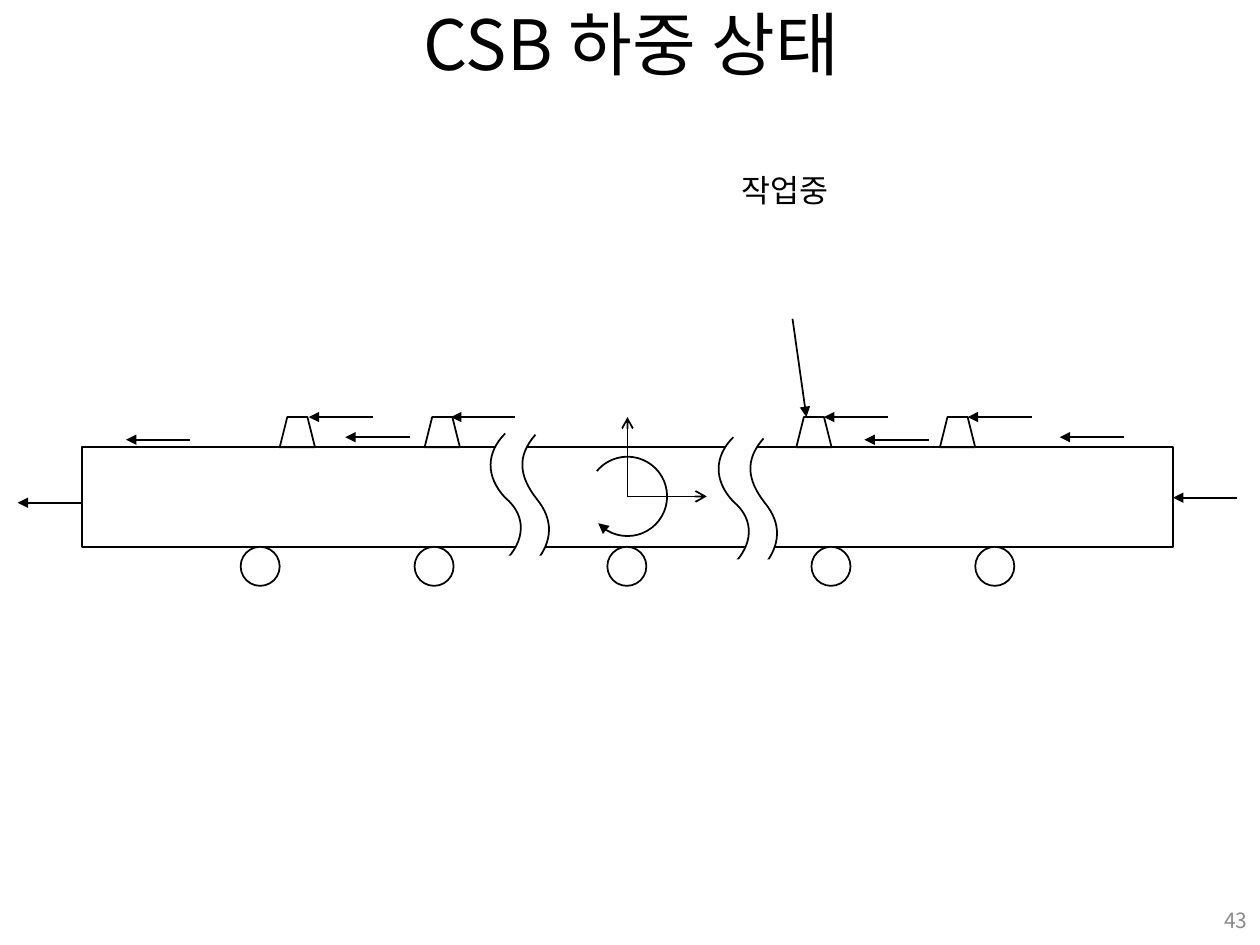
from typing import NamedTuple

from lxml import etree
from pptx import Presentation
from pptx.dml.color import RGBColor
from pptx.enum.shapes import MSO_CONNECTOR, MSO_SHAPE
from pptx.enum.text import MSO_ANCHOR, PP_ALIGN
from pptx.oxml.ns import qn
from pptx.util import Inches, Pt

STRAIGHT = MSO_CONNECTOR.STRAIGHT
RECTANGLE, TRAPEZOID = MSO_SHAPE.RECTANGLE, MSO_SHAPE.TRAPEZOID
OVAL, ARC = MSO_SHAPE.OVAL, MSO_SHAPE.ARC
MIDDLE, TOP = MSO_ANCHOR.MIDDLE, MSO_ANCHOR.TOP
LEFT, CENTER, RIGHT = PP_ALIGN.LEFT, PP_ALIGN.CENTER, PP_ALIGN.RIGHT

FONT = "Noto Sans CJK KR"
COLORS = {"ink": "000000", "paper": "FFFFFF", "number": "8C8C8C"}

FORCE_LENGTH = 0.51
BEAM_LEFT, BEAM_TOP, BEAM_WIDTH, BEAM_HEIGHT = 0.65, 3.55, 8.66, 0.79
BEAM_BOTTOM = BEAM_TOP + BEAM_HEIGHT
BLOCK_WIDTH, BLOCK_HEIGHT = 0.28, 0.24
BLOCK_TOP = BEAM_TOP - BLOCK_HEIGHT
ROLLER_SIZE = 0.31
CENTER_X, CENTER_Y, AXIS_LENGTH, ARC_SIZE = 4.98, 3.94, 0.63, 0.63

BLOCK_LEFTS = (2.22, 3.37, 6.32, 7.46)
ROLLER_LEFTS = (1.91, 3.29, 4.82, 6.44, 7.74)


class Point(NamedTuple):
    x: float
    y: float


class Box(NamedTuple):
    left: float
    top: float
    width: float
    height: float


# Tips of the forces, which all point left
FORCE_TIPS = (
    Point(2.45, BLOCK_TOP), Point(3.58, BLOCK_TOP),
    Point(6.54, BLOCK_TOP), Point(7.68, BLOCK_TOP),
    Point(1, 3.49), Point(2.74, 3.47), Point(6.86, 3.49), Point(8.41, 3.47),
    Point(0.14, 3.99), Point(9.31, 3.95),
)

# Top left corner of each break in the beam
BREAKS = (Point(3.89, 3.44), Point(5.7, 3.47))
BREAK_WIDTH, BREAK_HEIGHT = 0.46, 1.01
# Outline of a break, relative to its corner: down the left edge, up the right
BREAK_OUTLINE = (
    ("moveTo", (Point(0.12, 0),)),
    ("cubicBezTo", (Point(-0.03, 0.15), Point(-0.04, 0.34), Point(0.12, 0.51))),
    ("cubicBezTo", (Point(0.3, 0.66), Point(0.27, 0.86), Point(0.12, 1.01))),
    ("lnTo", (Point(0.37, 1.01),)),
    ("cubicBezTo", (Point(0.49, 0.86), Point(0.51, 0.69), Point(0.37, 0.52))),
    ("cubicBezTo", (Point(0.23, 0.34), Point(0.21, 0.18), Point(0.36, 0.01))),
)


def color(name: str) -> RGBColor:
    return RGBColor.from_string(COLORS[name])


def write(box, text: str, size: float, ink: str, align, anchor) -> None:
    frame = box.text_frame
    frame.vertical_anchor = anchor
    frame.text = text
    para = frame.paragraphs[0]
    para.alignment = align
    para.font.size = Pt(size)
    para.font.name = FONT
    para.font.color.rgb = color(ink)
    latin = para._p.pPr.find(qn("a:defRPr")).find(qn("a:latin"))
    east_asian = etree.Element(qn("a:ea"), typeface=FONT)
    latin.addnext(east_asian)


def add_text(slide, area: Box, text: str, size: float, ink: str,
             align, anchor, wrap: bool) -> None:
    box = slide.shapes.add_textbox(*map(Inches, area))
    box.text_frame.word_wrap = wrap
    write(box, text, size, ink, align, anchor)


def style(shape, filled: bool, outlined: bool = True) -> None:
    shape.shadow.inherit = False
    if filled:
        shape.fill.solid()
        shape.fill.fore_color.rgb = color("paper")
    else:
        shape.fill.background()
    if outlined:
        shape.line.color.rgb = color("ink")
        shape.line.width = Pt(1)
    else:
        shape.line.fill.background()


def add_part(slide, preset, area: Box, filled: bool = False, outlined: bool = True):
    part = slide.shapes.add_shape(preset, *map(Inches, area))
    style(part, filled, outlined)
    return part


def add_arrowhead(line, kind: str) -> None:
    etree.SubElement(line._element.spPr.find(qn("a:ln")), qn("a:tailEnd"), type=kind)


def add_arrow(slide, start: Point, tip: Point, kind: str = "triangle") -> None:
    arrow = slide.shapes.add_connector(STRAIGHT, *map(Inches, (*start, *tip)))
    arrow.line.color.rgb = color("ink")
    arrow.line.width = Pt(1)
    add_arrowhead(arrow, kind)
    etree.SubElement(arrow._element.spPr, qn("a:effectLst"))


def add_break(slide, corner: Point) -> None:
    """Draw a gap in the beam and cover its bottom edge."""
    left, top = map(Inches, corner)
    right, bottom = left + Inches(BREAK_WIDTH), top + Inches(BREAK_HEIGHT)
    builder = slide.shapes.build_freeform(left, top)
    builder.add_line_segments([(right, top), (right, bottom), (left, bottom)])
    gap = builder.convert_to_shape()
    style(gap, filled=True)

    # The builder knows straight lines only, so put the curves in its frame
    outline = next(gap._element.iter(qn("a:path")))
    for segment in list(outline):
        outline.remove(segment)
    for command, points in BREAK_OUTLINE:
        segment = etree.SubElement(outline, qn(f"a:{command}"))
        for point in points:
            etree.SubElement(segment, qn("a:pt"),
                             x=str(int(Inches(point.x))), y=str(int(Inches(point.y))))

    cover = Box(corner.x + 0.08, corner.y + 0.97, 0.33, 0.07)
    add_part(slide, RECTANGLE, cover, filled=True, outlined=False)


def add_axes(slide) -> None:
    """Draw the rotation arc and the two axes at the beam's centre."""
    corner = Point(CENTER_X - ARC_SIZE / 2, CENTER_Y - ARC_SIZE / 2)
    arc = add_part(slide, ARC, Box(*corner, ARC_SIZE, ARC_SIZE))
    arc.adjustments[0] = 131.79
    arc.adjustments[1] = 82.41
    add_arrowhead(arc, "triangle")
    center = Point(CENTER_X, CENTER_Y)
    add_arrow(slide, center, Point(CENTER_X + AXIS_LENGTH, CENTER_Y), "arrow")
    add_arrow(slide, center, Point(CENTER_X, CENTER_Y - AXIS_LENGTH), "arrow")


def main() -> None:
    deck = Presentation()
    deck.slide_width, deck.slide_height = Inches(10), Inches(7.5)
    slide = deck.slides.add_slide(deck.slide_layouts[5])

    title = slide.shapes.title
    title.left, title.top, title.width, title.height = map(Inches, (0.51, 0, 9, 0.68))
    write(title, "CSB 하중 상태", 39.6, "ink", CENTER, MIDDLE)
    add_text(slide, Box(7.67, 7.1, 2.33, 0.4), "43", 12, "number", RIGHT, MIDDLE, True)
    add_text(slide, Box(5.79, 1.31, 0.96, 0.4), "작업중", 18, "ink", LEFT, TOP, False)

    add_part(slide, RECTANGLE, Box(BEAM_LEFT, BEAM_TOP, BEAM_WIDTH, BEAM_HEIGHT))
    for corner in BREAKS:
        add_break(slide, corner)
    add_axes(slide)
    for left in BLOCK_LEFTS:
        add_part(slide, TRAPEZOID, Box(left, BLOCK_TOP, BLOCK_WIDTH, BLOCK_HEIGHT))
    for left in ROLLER_LEFTS:
        area = Box(left, BEAM_BOTTOM, ROLLER_SIZE, ROLLER_SIZE)
        add_part(slide, OVAL, area, filled=True)
    for tip in FORCE_TIPS:
        add_arrow(slide, Point(tip.x + FORCE_LENGTH, tip.y), tip)
    add_arrow(slide, Point(6.29, 2.53), Point(6.4, BLOCK_TOP))

    deck.save("out.pptx")


if __name__ == "__main__":
    main()
